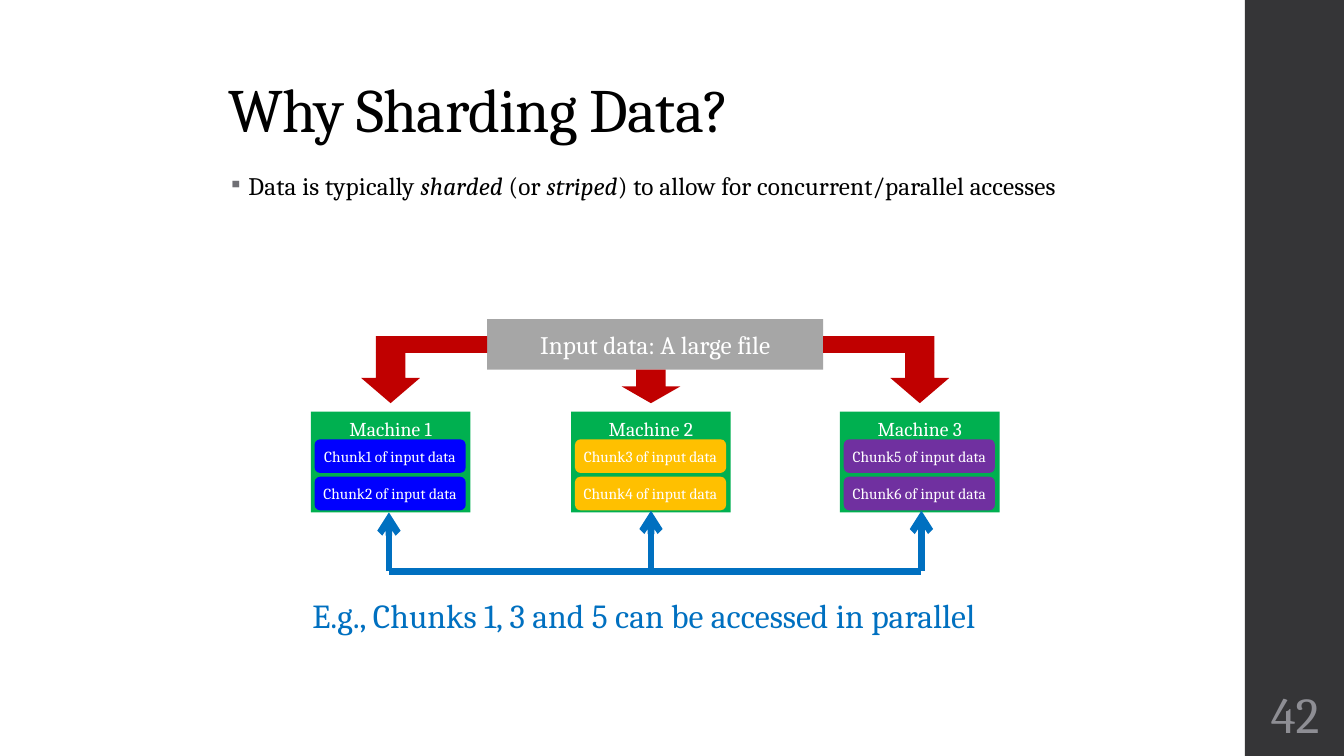
import pptx
import pptx.dml.color
import pptx.enum.shapes
import pptx.enum.text
import pptx.oxml
import pptx.oxml.ns
import pptx.util

THEME = {
    "font": "Cambria",
    "title": 44, "number": 36, "caption": 24, "body": 18, "machine": 14, "chunk": 11,
    "black": "000000", "white": "FFFFFF", "sidebar": "353537", "muted": "8E8E94",
    "bullet": "6F6F74", "file": "A6A6A6", "node": "00B050", "flow": "C00000",
    "access": "0070C0", "chunks": ["0000FF", "FFC000", "7030A0"],
}
COLUMNS, ROWS = 160, 90
CELL = pptx.util.Inches(1 / 12)
SHAPE = pptx.enum.shapes.MSO_SHAPE
ANCHOR = pptx.enum.text.MSO_ANCHOR
ALIGN = pptx.enum.text.PP_ALIGN
color = pptx.dml.color.RGBColor.from_string

presentation = pptx.Presentation()
presentation.slide_width = COLUMNS * CELL
presentation.slide_height = ROWS * CELL
slide = presentation.slides.add_slide(presentation.slide_layouts[6])


def add_block(kind, column, row, columns, rows, fill=None):
    """Add a filled preset shape, or a text box when kind is None, on the grid."""
    box = [int(length * CELL) for length in (column, row, columns, rows)]
    if kind is None:
        shape = slide.shapes.add_textbox(*box)
    else:
        shape = slide.shapes.add_shape(kind, *box)
        shape.shadow.inherit = False
        shape.fill.solid()
        shape.fill.fore_color.rgb = color(fill)
        shape.line.fill.background()
    shape.text_frame.word_wrap = True
    return shape


def write(shape, runs, size, ink, anchor=ANCHOR.MIDDLE, align=ALIGN.CENTER, tracking=0):
    """Write (text, italic) runs; tracking is in hundredths of a point."""
    shape.text_frame.vertical_anchor = anchor
    paragraph = shape.text_frame.paragraphs[0]
    paragraph.alignment = align
    for text, italic in runs:
        run = paragraph.add_run()
        run.text = text
        run.font.name = THEME["font"]
        run.font.size = pptx.util.Pt(THEME[size])
        run.font.color.rgb = color(THEME[ink])
        run.font.italic = italic
        if tracking:
            run._r.get_or_add_rPr().set("spc", str(tracking))
    return paragraph


# Sidebar, title and bullet
add_block(SHAPE.RECTANGLE, 148.2, 0, 12, ROWS, THEME["sidebar"])
title = add_block(None, 26, 3, 108, 15)
paragraph = write(title, [("Why Sharding Data?", False)], "title", "black",
                  ANCHOR.BOTTOM, ALIGN.LEFT, -50)
paragraph.line_spacing = 0.9

body = add_block(None, 26, 20, 111, 69)
paragraph = write(body, [
    ("Data is typically ", False), ("sharded", True), (" (or ", False), ("striped", True),
    (") to allow for concurrent/parallel accesses", False),
], "body", "black", ANCHOR.TOP, ALIGN.LEFT, 10)
properties = paragraph._p.get_or_add_pPr()
indent = pptx.util.Inches(0.2)
properties.set("marL", str(indent))
properties.set("indent", str(-indent))
namespace = pptx.oxml.ns.nsdecls("a")
for bullet in (f'<a:buClr {namespace}><a:srgbClr val="{THEME["bullet"]}"/></a:buClr>',
               f'<a:buSzPct {namespace} val="80000"/>',
               f'<a:buChar {namespace} char="▪"/>'):
    properties.append(pptx.oxml.parse_xml(bullet))
paragraph.line_spacing = 0.95

number = add_block(None, 148.2, 81, 12, 7.8)
frame = number.text_frame
frame.margin_left = frame.margin_right = pptx.util.Inches(0.05)
write(number, [("42", False)], "number", "muted")

# Input file and the flow out of it
source = add_block(SHAPE.RECTANGLE, 58, 38, 40, 6, THEME["file"])
write(source, [("Input data: A large file", False)], "body", "white")
for column in (44.75, 98):
    add_block(SHAPE.RECTANGLE, column, 40, 13.25, 2, THEME["flow"])
for column, row in ((43, 42), (74, 44), (106, 42)):
    add_block(SHAPE.DOWN_ARROW, column, row, 7, 48 - row, THEME["flow"])

# Machines, each holding two chunks
for index, column in enumerate((37, 68, 100)):
    machine = add_block(SHAPE.RECTANGLE, column, 49, 19, 12, THEME["node"])
    write(machine, [(f"Machine {index + 1}", False)], "machine", "white", ANCHOR.TOP)
    for position in range(2):
        chunk = add_block(SHAPE.ROUNDED_RECTANGLE, column + 0.45, 52.3 + 4.45 * position,
                          18, 4, THEME["chunks"][index])
        chunk.text_frame.margin_left = chunk.text_frame.margin_right = 0
        label = f"Chunk{2 * index + position + 1} of input data"
        write(chunk, [(label, False)], "chunk", "white")

# Parallel access: one rail with an arrow up to each machine
left, middle, right = 46.3, 77.5, 109.7
rail, machine_bottom = 68, 60.8
for start, end, row, arrow in ((left, left, 61, True), (left, right, rail, False),
                               (middle, middle, machine_bottom, True),
                               (right, right, machine_bottom, True)):
    connector = slide.shapes.add_connector(
        pptx.enum.shapes.MSO_CONNECTOR.STRAIGHT,
        *[int(length * CELL) for length in (start, rail, end, row)])
    connector.line.color.rgb = color(THEME["access"])
    connector.line.width = pptx.util.Pt(4.75)
    if arrow:
        connector.line._get_or_add_ln().append(
            pptx.oxml.parse_xml(f'<a:tailEnd {namespace} type="arrow"/>'))
    connector._element.spPr.append(pptx.oxml.parse_xml(f"<a:effectLst {namespace}/>"))

caption = add_block(None, 36, 70.2, 83.3, 6)
caption.text_frame.word_wrap = False
write(caption, [("E.g., Chunks 1, 3 and 5 can be accessed in parallel", False)],
      "caption", "access", ANCHOR.TOP, ALIGN.LEFT)

presentation.save("out.pptx")
